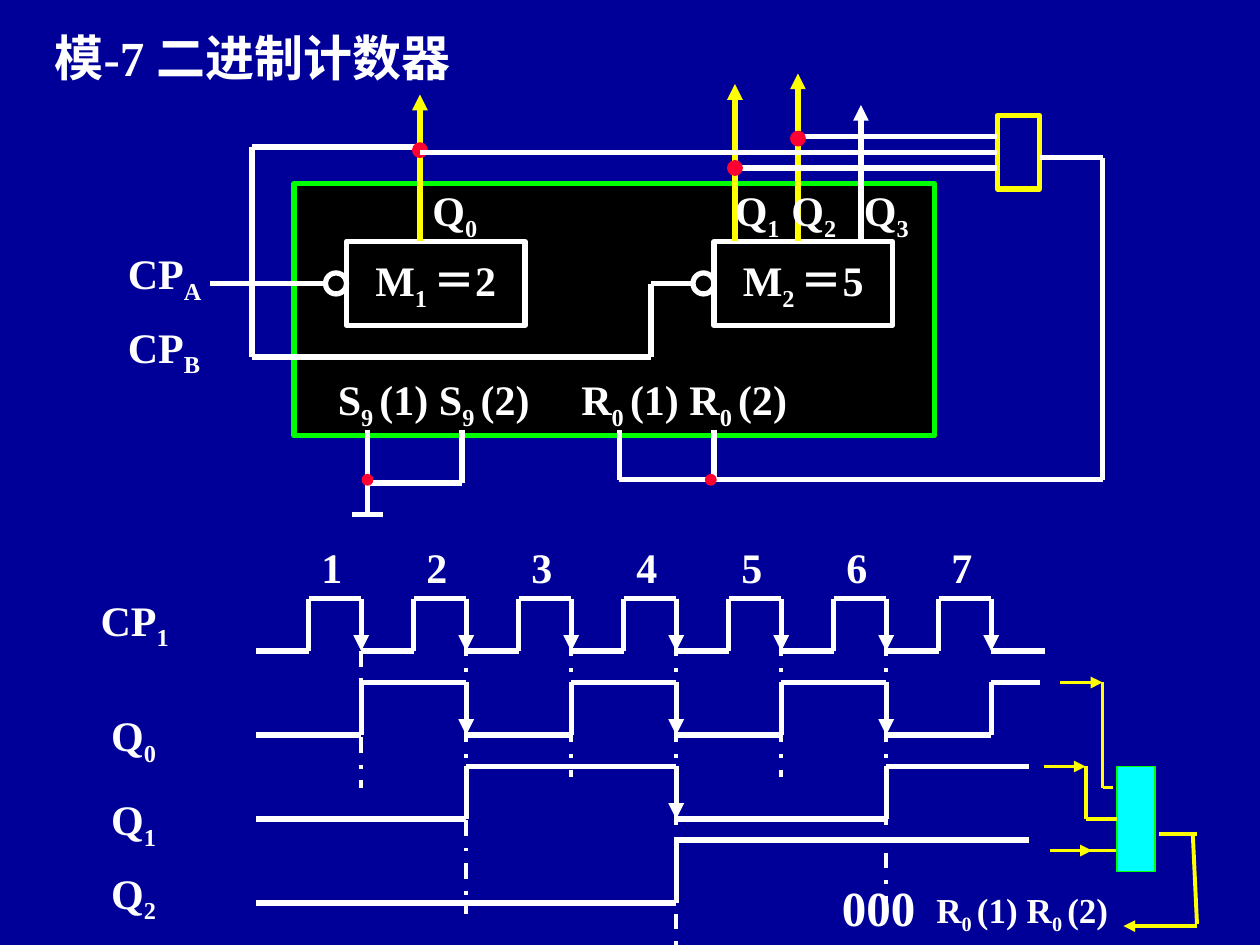
from dataclasses import dataclass
from itertools import pairwise

import pptx
import pptx.dml.color
import pptx.enum.dml
import pptx.enum.shapes
import pptx.enum.text
import pptx.oxml
import pptx.oxml.ns
import pptx.util

EMU_PER_PX = 7620  # 120 px to the inch
FONT = "Times New Roman"
NAVY, BLACK, WHITE = "000099", "000000", "FFFFFF"
YELLOW, GREEN, RED, CYAN = "FFFF00", "00FF00", "FF0033", "00FFFF"
RECTANGLE = pptx.enum.shapes.MSO_SHAPE.RECTANGLE
OVAL = pptx.enum.shapes.MSO_SHAPE.OVAL
Align = pptx.enum.text.PP_ALIGN
Anchor = pptx.enum.text.MSO_ANCHOR
DASH_DOT = pptx.enum.dml.MSO_LINE.DASH_DOT

Point = tuple[int, int]


@dataclass(frozen=True)
class Pen:
    color: str = WHITE
    width: float = 3
    dashed: bool = False


@dataclass(frozen=True)
class Label:
    """Text alternates between normal and subscript at every bar."""
    text: str
    left: int
    top: int
    width: int = 120
    size: int = 24
    align: Align = Align.LEFT


@dataclass(frozen=True)
class Wave:
    low: int
    high: int
    edges: range
    end: int


WIRE = Pen()
OUTPUT = Pen(YELLOW)
SIGNAL = Pen(YELLOW, 2.25)
GUIDE = Pen(WHITE, 2.25, dashed=True)
WAVE_START = 244

LABELS = [
    Label("CP|A", 110, 230),
    Label("CP|B", 110, 300),
    Label("Q|0", 400, 170),
    Label("Q|1", 688, 170),
    Label("Q|2", 742, 170),
    Label("Q|3", 811, 170),
    Label("S|9 |(1) S|9 |(2)", 310, 350, 230),
    Label("R|0 |(1) R|0 |(2)", 542, 350, 240),
    Label("CP|1", 84, 560),
    Label("Q|0", 94, 670),
    Label("Q|1", 94, 750),
    Label("Q|2", 94, 820),
    Label("000", 790, 830, size=28),
    Label("R|0 |(1) R|0 |(2)", 880, 840, 230, 20),
    *[Label(str(number), 186 + 100 * number, 510, 60, align=Align.CENTER)
      for number in range(1, 8)],
]

WAVES = [
    Wave(620, 570, range(294, 945, 50), 995),
    Wave(700, 650, range(344, 945, 100), 990),
    Wave(780, 730, range(444, 845, 200), 980),
    Wave(860, 800, range(644, 645), 980),
]

GUIDES = [(344, 620, 750), *[(x, 610, 740) for x in range(444, 845, 100)],
          (444, 740, 870), (644, 730, 860), (844, 730, 860), (644, 870, 900)]

WIRES = [
    [(200, 270), (310, 270)],
    [(660, 270), (620, 270), (620, 340), (240, 340), (240, 140), (400, 140)],
    [(350, 410), (350, 490)],
    [(440, 410), (440, 460), (350, 460)],
    [(335, 490), (365, 490)],
    [(760, 130), (950, 130)],
    [(700, 160), (950, 160)],
    [(590, 410), (590, 457), (1050, 457), (1050, 150), (990, 150)],
    [(680, 410), (680, 457)],
]

SIGNAL_ARROWS = [((1010, 650), (1050, 650)), ((994, 730), (1034, 730)),
                 ((1000, 810), (1040, 810)), ((1140, 882), (1070, 882))]
SIGNAL_PATHS = [
    [(1050, 650), (1050, 750), (1060, 750)],
    [(1034, 730), (1034, 780)],
    [(1034, 810), (1064, 810)],
    [(1104, 794), (1140, 794)],
    [(1136, 794), (1140, 880)],
]


def px(length: int) -> int:
    return pptx.util.Emu(length * EMU_PER_PX)


def rgb(value: str) -> pptx.dml.color.RGBColor:
    return pptx.dml.color.RGBColor.from_string(value)


def write(frame, text: str, size: int, align: Align = Align.LEFT) -> None:
    paragraph = frame.paragraphs[0]
    paragraph.alignment = align
    for index, part in enumerate(text.split("|")):
        run = paragraph.add_run()
        run.text = part
        run.font.name = FONT
        run.font.size = pptx.util.Pt(size)
        run.font.bold = True
        run.font.color.rgb = rgb(WHITE)
        if index % 2:
            run.font._element.set("baseline", "-25000")


def add_label(slide, label: Label) -> None:
    box = slide.shapes.add_textbox(px(label.left), px(label.top), px(label.width), px(60))
    box.text_frame.word_wrap = True
    write(box.text_frame, label.text, label.size, label.align)


def add_outline(slide, kind, left: int, top: int, width: int, height: int,
                pen: Pen, fill: str | None = None):
    shape = slide.shapes.add_shape(kind, px(left), px(top), px(width), px(height))
    shape.shadow.inherit = False
    if fill:
        shape.fill.solid()
        shape.fill.fore_color.rgb = rgb(fill)
    else:
        shape.fill.background()
    shape.line.color.rgb = rgb(pen.color)
    shape.line.width = pptx.util.Pt(pen.width)
    return shape


def add_line(slide, start: Point, end: Point, pen: Pen, arrow: bool = False):
    connector = slide.shapes.add_connector(
        pptx.enum.shapes.MSO_CONNECTOR.STRAIGHT, *map(px, start + end))
    line = connector.line
    line.color.rgb = rgb(pen.color)
    line.width = pptx.util.Pt(pen.width)
    if pen.dashed:
        line.dash_style = DASH_DOT
    namespace = pptx.oxml.ns.nsdecls("a")
    if arrow:
        line._get_or_add_ln().append(
            pptx.oxml.parse_xml(f'<a:tailEnd {namespace} type="triangle"/>'))
    connector._element.spPr.append(pptx.oxml.parse_xml(f"<a:effectLst {namespace}/>"))
    return connector


def add_path(slide, points: list[Point], pen: Pen) -> None:
    for start, end in pairwise(points):
        add_line(slide, start, end, pen)


def add_wave(slide, wave: Wave) -> None:
    """Toggle the level at every edge, with an arrow on each falling one."""
    x, level, other = WAVE_START, wave.low, wave.high
    for edge in wave.edges:
        add_line(slide, (x, level), (edge, level), WIRE)
        add_line(slide, (edge, level), (edge, other), WIRE, arrow=other > level)
        x, level, other = edge, other, level
    add_line(slide, (x, level), (wave.end, level), WIRE)


def add_dot(slide, center: Point, width: float) -> None:
    x, y = center
    add_outline(slide, OVAL, x - 5, y - 5, 10, 10, Pen(RED, width), RED)


def add_counter(slide, left: int, text: str) -> None:
    block = add_outline(slide, RECTANGLE, left, 230, 170, 80, WIRE)
    block.text_frame.word_wrap = False
    block.text_frame.vertical_anchor = Anchor.MIDDLE
    write(block.text_frame, text, 24, Align.CENTER)
    add_outline(slide, OVAL, left - 20, 260, 20, 20, WIRE)


def add_title(slide) -> None:
    title = slide.shapes.title
    title.left, title.top, title.width, title.height = map(px, (40, 20, 530, 68))
    title.text_frame.auto_size = pptx.enum.text.MSO_AUTO_SIZE.NONE
    title.text_frame.vertical_anchor = Anchor.TOP
    write(title.text_frame, "模-7 二进制计数器", 28)


def add_circuit(slide) -> None:
    add_outline(slide, RECTANGLE, 280, 175, 610, 240, Pen(GREEN), BLACK)
    add_counter(slide, 330, "M|1 |＝2")
    add_counter(slide, 680, "M|2 |＝5")
    gate = add_outline(slide, RECTANGLE, 950, 110, 40, 70, OUTPUT)
    for x, top, pen in [(400, 90, OUTPUT), (700, 80, OUTPUT), (760, 70, OUTPUT), (820, 100, WIRE)]:
        add_line(slide, (x, 230), (x, top), pen, arrow=True)
    for points in WIRES:
        add_path(slide, points, WIRE)
    for center in [(400, 143), (760, 132), (700, 160)]:
        add_dot(slide, center, 3)
    for center in [(350, 457), (677, 457)]:
        add_dot(slide, center, 0.75)
    add_line(slide, (400, 145), (950, 145), WIRE).end_connect(gate, 1)


def add_timing(slide) -> None:
    for wave in WAVES:
        add_wave(slide, wave)
    for x, top, bottom in GUIDES:
        add_line(slide, (x, top), (x, bottom), GUIDE)
    for start, end in SIGNAL_ARROWS:
        add_line(slide, start, end, SIGNAL, arrow=True)
    for points in SIGNAL_PATHS:
        add_path(slide, points, SIGNAL)
    gate = add_outline(slide, RECTANGLE, 1064, 730, 36, 100, Pen(GREEN, 0.75), CYAN)
    add_line(slide, (1034, 780), (1064, 780), SIGNAL).end_connect(gate, 1)


def main() -> None:
    presentation = pptx.Presentation()
    presentation.slide_width, presentation.slide_height = px(1200), px(900)
    slide = presentation.slides.add_slide(presentation.slide_layouts[5])
    slide.background.fill.solid()
    slide.background.fill.fore_color.rgb = rgb(NAVY)
    add_title(slide)
    add_circuit(slide)
    add_timing(slide)
    for label in LABELS:
        add_label(slide, label)
    presentation.save("out.pptx")


if __name__ == "__main__":
    main()
